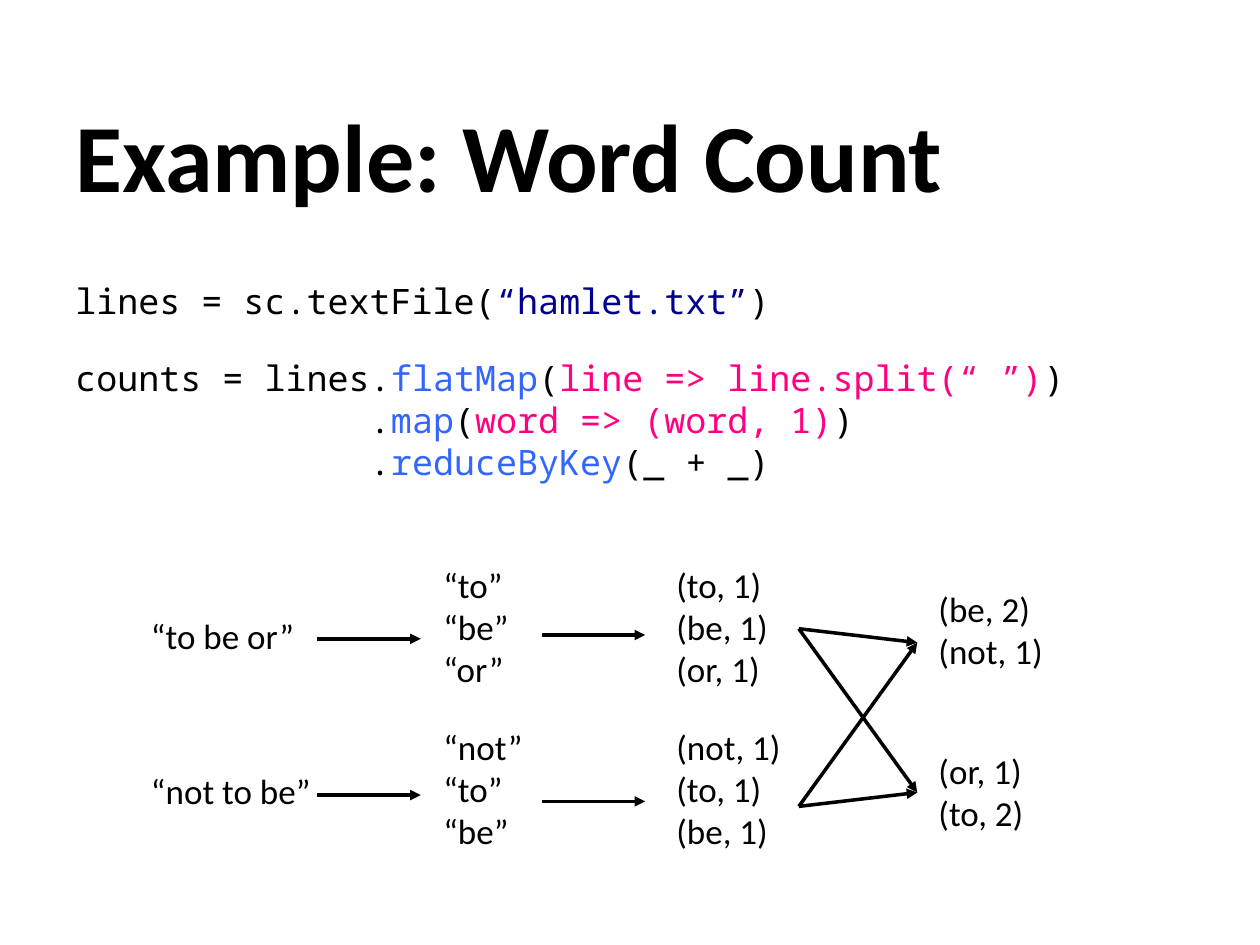
from itertools import product

from lxml.etree import SubElement
from pptx import Presentation
from pptx.dml.color import RGBColor
from pptx.enum.shapes import MSO_CONNECTOR as CONNECTOR
from pptx.enum.text import MSO_ANCHOR as ANCHOR, MSO_AUTO_SIZE as AUTO_SIZE, PP_ALIGN as ALIGN
from pptx.oxml.ns import qn
from pptx.util import Inches, Pt

COLORS = {"text": "000000", "string": "000090", "method": "3366FF", "closure": "FF0080"}
TEXT_FONT = "Calibri"
CODE_FONT = "Noto Sans Mono"
CHAIN_INDENT = " " * len("counts = lines")

# Statements hold lines, and lines hold (text, colour) pairs.
STATEMENTS = [
    [[("lines = sc.textFile(", "text"), ("“hamlet.txt”", "string"), (")", "text")]],
    [
        [("counts = lines.", "text"), ("flatMap", "method"), ("(", "text"),
         ("line => line.split(“ ”)", "closure"), (")", "text")],
        [(CHAIN_INDENT + ".", "text"), ("map", "method"), ("(", "text"),
         ("word => (word, 1)", "closure"), (")", "text")],
        [(CHAIN_INDENT + ".", "text"), ("reduceByKey", "method"), ("(_ + _)", "text")],
    ],
]

# Left, top, width, height and lines of each stage of the data flow
DATA_BLOCKS = [
    (1.1, 4.83, 1.4, 0.5, ["“to be or”"]),
    (1.1, 6.06, 1.54, 0.5, ["“not to be”"]),
    (3.42, 4.42, 0.76, 1.27, ["“to”", "“be”", "“or”"]),
    (3.42, 5.71, 0.86, 1.27, ["“not”", "“to”", "“be”"]),
    (5.27, 4.42, 0.96, 1.27, ["(to, 1)", "(be, 1)", "(or, 1)"]),
    (5.27, 5.71, 1.07, 1.27, ["(not, 1)", "(to, 1)", "(be, 1)"]),
    (7.35, 4.61, 1.07, 0.88, ["(be, 2)", "(not, 1)"]),
    (7.35, 5.9, 0.93, 0.88, ["(or, 1)", "(to, 2)"]),
]
MAP_ARROW_LENGTH = 0.82
MAP_ARROW_STARTS = [(2.52, 5.07), (2.52, 6.31), (4.3, 5.04), (4.3, 6.36)]
SHUFFLE_STARTS = [(6.34, 4.99), (6.34, 6.4)]
SHUFFLE_ENDS = [(7.28, 5.1), (7.28, 6.29)]


def add_run(paragraph, text, size=20, font=TEXT_FONT, color="text", bold=False):
    run = paragraph.add_run()
    run.text = text
    run.font.name = font
    run.font.size = Pt(size)
    run.font.bold = bold
    run.font.color.rgb = RGBColor.from_string(COLORS[color])


def set_title(slide, text):
    title = slide.shapes.title
    title.left, title.top = Inches(0.5), Inches(0.6)
    title.width, title.height = Inches(9), Inches(1.25)
    frame = title.text_frame
    frame.auto_size = AUTO_SIZE.NONE
    frame.vertical_anchor = ANCHOR.MIDDLE
    paragraph = frame.paragraphs[0]
    paragraph.alignment = ALIGN.LEFT
    add_run(paragraph, text, size=55, bold=True)


def add_text_box(slide, left, top, width, height):
    box = slide.shapes.add_textbox(Inches(left), Inches(top), Inches(width), Inches(height))
    return box.text_frame


def next_paragraph(frame, index):
    return frame.add_paragraph() if index else frame.paragraphs[0]


def add_code(slide):
    frame = add_text_box(slide, 0.5, 2.17, 9, 2.83)
    frame.word_wrap = True
    for index, statement in enumerate(STATEMENTS):
        paragraph = next_paragraph(frame, index)
        paragraph.space_before = Pt(20)
        for line_number, line in enumerate(statement):
            if line_number:
                paragraph.add_line_break()
            for text, color in line:
                add_run(paragraph, text, font=CODE_FONT, color=color)


def add_data_block(slide, left, top, width, height, lines):
    frame = add_text_box(slide, left, top, width, height)
    frame.word_wrap = False
    frame.auto_size = AUTO_SIZE.SHAPE_TO_FIT_TEXT
    for index, line in enumerate(lines):
        add_run(next_paragraph(frame, index), line)


def add_arrow(slide, start, end):
    points = [Inches(value) for value in (*start, *end)]
    arrow = slide.shapes.add_connector(CONNECTOR.STRAIGHT, *points)
    arrow.line.width = Pt(2)
    arrow.line.color.rgb = RGBColor.from_string(COLORS["text"])
    SubElement(arrow.line._get_or_add_ln(), qn("a:tailEnd"), type="triangle")
    SubElement(arrow._element.spPr, qn("a:effectLst"))


def main():
    presentation = Presentation()
    presentation.slide_width, presentation.slide_height = Inches(10), Inches(7.5)
    slide = presentation.slides.add_slide(presentation.slide_layouts[5])
    add_code(slide)
    set_title(slide, "Example: Word Count")
    for block in DATA_BLOCKS:
        add_data_block(slide, *block)
    for left, top in MAP_ARROW_STARTS:
        add_arrow(slide, (left, top), (left + MAP_ARROW_LENGTH, top))
    for start, end in product(SHUFFLE_STARTS, SHUFFLE_ENDS):
        add_arrow(slide, start, end)
    presentation.save("out.pptx")


if __name__ == "__main__":
    main()
